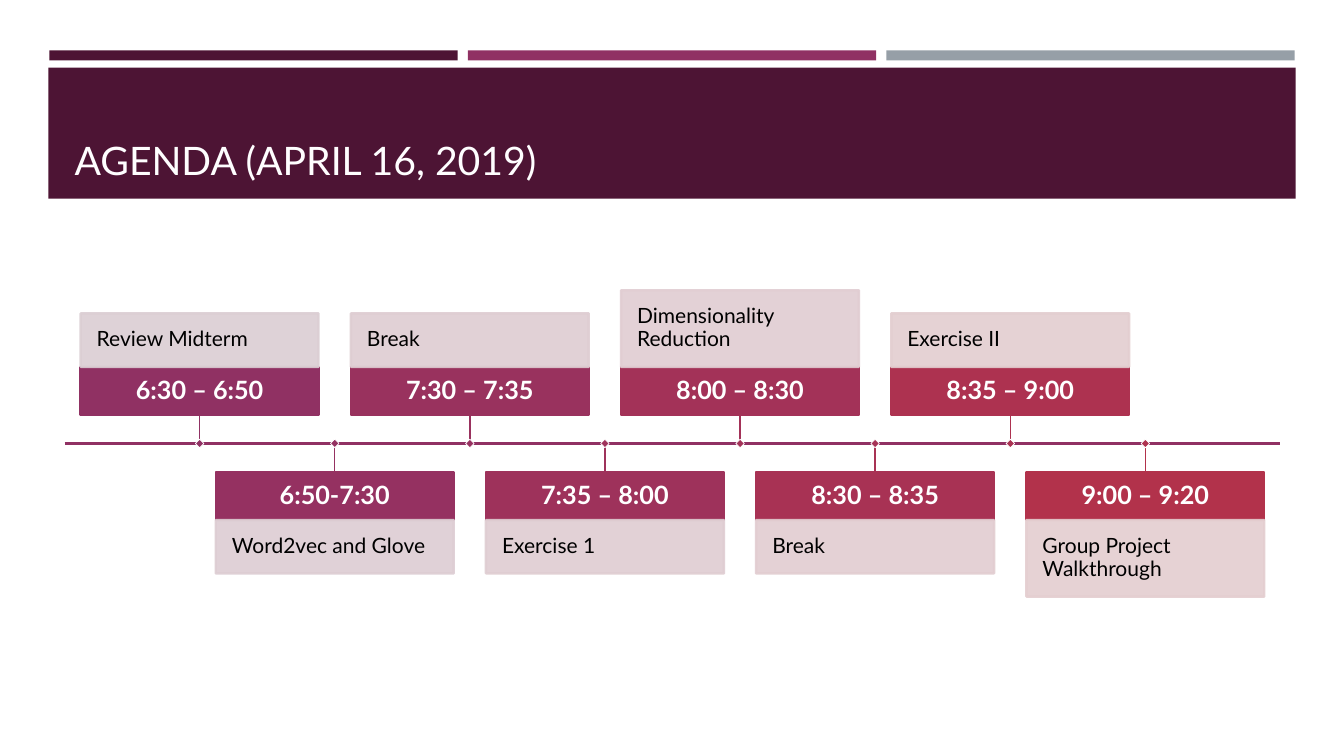
import pptx
import pptx.util
import pptx.dml.color
import pptx.enum.shapes
import pptx.enum.text
import pptx.oxml.ns
import lxml.etree

Inches = pptx.util.Inches
Pt = pptx.util.Pt
Color = pptx.dml.color.RGBColor
Align = pptx.enum.text.PP_ALIGN
Anchor = pptx.enum.text.MSO_ANCHOR

PLUM = Color(0x4D, 0x14, 0x34)
BERRY = Color(0x90, 0x31, 0x63)
GREY = Color(0x96, 0x9F, 0xA7)
WHITE = Color(0xFF, 0xFF, 0xFF)
CREAM = Color(0xFF, 0xFE, 0xFF)
BLACK = Color(0, 0, 0)
TONES = [Color.from_string(c) for c in (
    "903163", "953161", "99325E", "9E325B", "A33258", "A83254", "AD3250", "B2324B")]
PALES = [Color.from_string(c) for c in (
    "DBCED3", "DDCDD3", "DECDD2", "DFCDD2", "E1CDD2", "E2CDD1", "E3CED0", "E4CED0")]
DOTS = [Color.from_string(c) for c in (
    "903163", "943161", "973160", "9F325B", "A33258", "A63256", "AA3252", "AE324F")]

# time, label, height of the label box
EVENTS = [
    ("6:30 – 6:50", "Review Midterm", 0.53),
    ("6:50-7:30", "Word2vec and Glove", 0.53),
    ("7:30 – 7:35", "Break", 0.53),
    ("7:35 – 8:00", "Exercise 1", 0.53),
    ("8:00 – 8:30", "Dimensionality Reduction", 0.76),
    ("8:30 – 8:35", "Break", 0.53),
    ("8:35 – 9:00", "Exercise II", 0.53),
    ("9:00 – 9:20", "Group Project Walkthrough", 0.76),
]
AXIS = 4.4
STEM = 0.28
WIDE = 2.36
HIGH = 0.48
LEFT = 0.8
STEP = 1.34
DOT = 0.06


class Deck:
    """Holds the font and the current slide."""

    def __init__(self, font):
        """Open a wide deck with one title-only slide."""
        self.font = font
        self.prs = pptx.Presentation()
        self.prs.slide_width = Inches(13.33)
        self.prs.slide_height = Inches(7.5)
        self.slide = self.prs.slides.add_slide(self.prs.slide_layouts[5])
        self.shapes = self.slide.shapes

    def label(self, shape, text, size, color, align, anchor, bold=False):
        """Put one styled paragraph into a shape."""
        frame = shape.text_frame
        frame.word_wrap = True
        frame.auto_size = pptx.enum.text.MSO_AUTO_SIZE.NONE
        frame.vertical_anchor = anchor
        par = frame.paragraphs[0]
        par.text = text
        par.alignment = align
        par.line_spacing = 0.9
        par.font.name = self.font
        par.font.size = Pt(size)
        par.font.bold = bold
        par.font.color.rgb = color

    def title(self, text, left, top, width, height):
        """Fill the title placeholder and bring it to the front."""
        shape = self.shapes.title
        shape.left, shape.top = Inches(left), Inches(top)
        shape.width, shape.height = Inches(width), Inches(height)
        self.label(shape, text, 28, CREAM, Align.LEFT, Anchor.BOTTOM)
        self.shapes.element.append(shape.element)

    def box(self, left, top, width, height, fill, edge=None, weight=1.75):
        """Add a flat rectangle, outlined if an edge colour is given."""
        shape = self.shapes.add_shape(
            pptx.enum.shapes.MSO_SHAPE.RECTANGLE,
            Inches(left), Inches(top), Inches(width), Inches(height))
        shape.shadow.inherit = False
        shape.fill.solid()
        shape.fill.fore_color.rgb = fill
        if edge is None:
            shape.line.fill.background()
        else:
            shape.line.color.rgb = edge
            shape.line.width = Pt(weight)
        return shape

    def card(self, left, top, height, fill, text, size, color, align, inset, bold=False):
        """Add a box of the common width with text in it."""
        shape = self.box(left, top, WIDE, height, fill, fill)
        frame = shape.text_frame
        frame.margin_left = frame.margin_right = Inches(inset)
        frame.margin_top = frame.margin_bottom = Inches(inset)
        self.label(shape, text, size, color, align, Anchor.MIDDLE, bold)
        return shape

    def fade(self, shape, part):
        """Set the opacity of fill and line, in percent."""
        qn = pptx.oxml.ns.qn
        for fill in list(shape.element.spPr.iter(qn("a:solidFill"))):
            lxml.etree.SubElement(fill[0], qn("a:alpha"), val=str(part * 1000))

    def line(self, x1, y1, x2, y2, color, weight):
        """Add a straight line without a shadow."""
        line = self.shapes.add_connector(
            pptx.enum.shapes.MSO_CONNECTOR.STRAIGHT,
            Inches(x1), Inches(y1), Inches(x2), Inches(y2))
        line.line.color.rgb = color
        line.line.width = Pt(weight)
        lxml.etree.SubElement(line.element.spPr, pptx.oxml.ns.qn("a:effectLst"))

    def event(self, num, time, name, tall):
        """Add one stop, above the axis if even and below if odd."""
        left = LEFT + num * STEP
        mid = left + WIDE / 2
        if num % 2 == 0:
            end = AXIS - STEM
            top = end - HIGH
            side = top - tall
        else:
            end = top = AXIS + STEM
            side = top + HIGH
        self.card(left, top, HIGH, TONES[num], time, 18, WHITE, Align.CENTER, 0.1, True)
        pale = self.card(left, side, tall, PALES[num], name, 15, BLACK, Align.LEFT, 0.16)
        self.fade(pale, 90)
        self.line(mid, AXIS, mid, end, TONES[num], 1)
        dot = self.box(mid - DOT / 2, AXIS - DOT / 2, DOT, DOT, DOTS[num], WHITE, 0.5)
        dot.rotation = 45


deck = Deck("Lato")
for num, color in enumerate((PLUM, BERRY, GREY)):
    deck.box(0.49 + num * 4.15, 0.5, 4.05, 0.1, color)
deck.box(0.48, 0.67, 12.37, 1.3, PLUM)
deck.title("AGENDA (APRIL 16, 2019)", 0.64, 0.77, 12.06, 1.11)
deck.line(0.64, AXIS, 12.7, AXIS, BERRY, 1.75)
for num, event in enumerate(EVENTS):
    deck.event(num, *event)
deck.prs.save("out.pptx")
